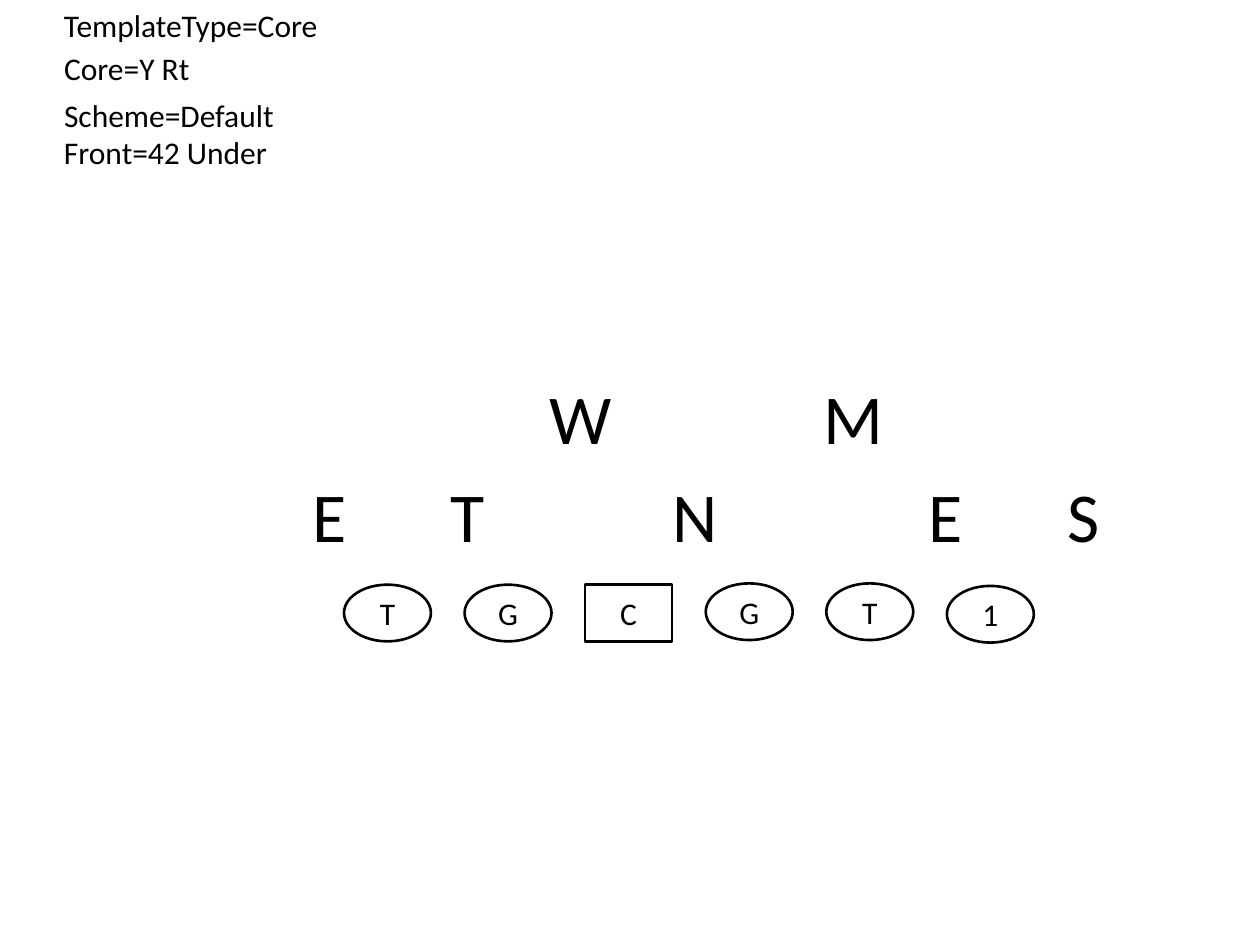
from pptx import Presentation, util as u
from pptx.dml.color import RGBColor
from pptx.enum import shapes, text

COLORS = {"ink": "000000", "paper": "FFFFFF"}
INK = RGBColor.from_string(COLORS["ink"])
PAPER = RGBColor.from_string(COLORS["paper"])

presentation = Presentation()
presentation.slide_width = u.Inches(10)
presentation.slide_height = u.Inches(7.5)
slide = presentation.slides.add_slide(presentation.slide_layouts[6])


def write(shape, words, size, frame_format):
    frame = shape.text_frame
    for name, value in frame_format.items():
        setattr(frame, name, value)
    paragraph = frame.paragraphs[0]
    run = paragraph.add_run()
    run.text = words
    for name, value in {"name": "Calibri", "size": u.Pt(size)}.items():
        setattr(run.font, name, value)
    run.font.color.rgb = INK
    return paragraph


def add_label(words, left, top, width, height, size):
    box = slide.shapes.add_textbox(
        u.Inches(left), u.Inches(top), u.Inches(width), u.Inches(height))
    write(box, words, size, {
        "word_wrap": False,
        "auto_size": text.MSO_AUTO_SIZE.SHAPE_TO_FIT_TEXT,
    })


# Play settings
for words, top, width in [
    ("TemplateType=Core", 0, 2.24),
    ("Core=Y Rt", 0.34, 1.21),
    ("Scheme=Default", 0.71, 1.89),
    ("Front=42 Under", 1.01, 1.83),
]:
    add_label(words, 0.41, top, width, 0.4, 18)

# Defense: linebackers, then the front
defense = {
    2.92: [("W", 4.26, 0.7), ("M", 6.44, 0.7)],
    3.7: [("E", 2.38, 0.48), ("T", 3.48, 0.48), ("N", 5.24, 0.56),
          ("E", 7.27, 0.48), ("S", 8.37, 0.48)],
}
for top, players in defense.items():
    for position, left, width in players:
        add_label(position, left, top, width, 0.77, 40)

# Offensive line, evenly spaced, with the center as a square
line_tops = [4.64, 4.64, 4.64, 4.63, 4.63, 4.65]
for index, (position, top) in enumerate(zip("TGCGT1", line_tops)):
    outline = (shapes.MSO_SHAPE.RECTANGLE if position == "C"
               else shapes.MSO_SHAPE.OVAL)
    player = slide.shapes.add_shape(
        outline, u.Inches(2.73 + 0.957 * index), u.Inches(top),
        u.Inches(0.69), u.Inches(0.45))
    player.shadow.inherit = False
    player.fill.solid()
    player.fill.fore_color.rgb = PAPER
    player.line.color.rgb = INK
    player.line.width = u.Pt(1.5)
    paragraph = write(player, position, 18, {
        "vertical_anchor": text.MSO_ANCHOR.MIDDLE,
    })
    paragraph.alignment = text.PP_ALIGN.CENTER

presentation.save("out.pptx")
